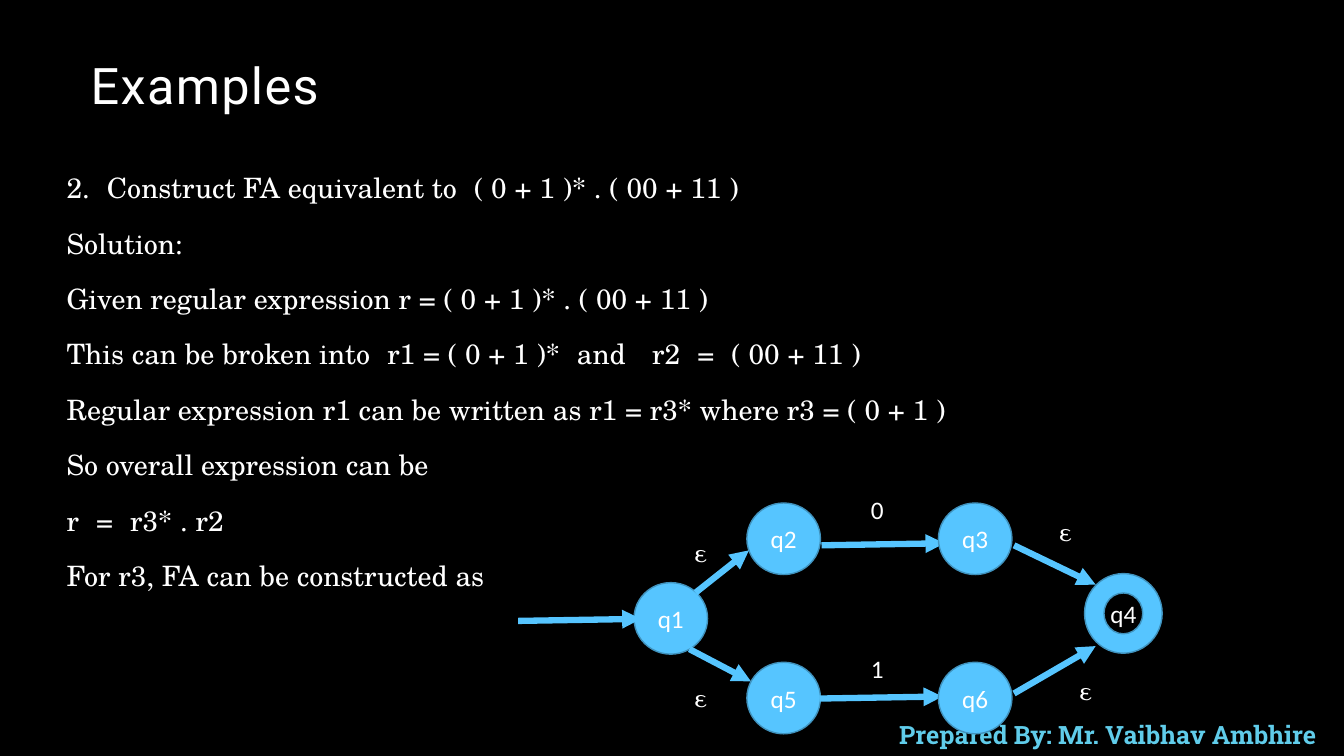
from dataclasses import dataclass

from lxml import etree
from pptx import Presentation
from pptx import util as u
from pptx.dml.color import RGBColor
from pptx.enum import shapes, text
from pptx.oxml.ns import qn

EMU_PER_PX = 9144
WIDE_SLIDE = (12192000, 6858000)
HARD_SPACE = chr(160)


@dataclass(frozen=True)
class Theme:
    background: str = "000000"
    ink: str = "FFFFFF"
    accent: str = "56C5FF"
    outline: str = "4092BD"
    credit: str = "60CCEA"
    title_font: str = "Roboto"
    body_font: str = "TeX Gyre Schola"
    label_font: str = "Calibri"
    credit_font: str = "Roboto Slab"
    title_size: int = 36
    body_size: int = 20
    label_size: int = 18


THEME = Theme()

BODY_LINES = [
    "2.~ Construct FA equivalent to~ ( 0 + 1 )* . ( 00 + 11 )",
    "Solution:",
    "Given regular expression r = ( 0 + 1 )* . ( 00 + 11 )",
    "This can be broken into~ r1 = ( 0 + 1 )*~ and~ ~r2~ =~ ( 00 + 11 )",
    "Regular expression r1 can be written as r1 = r3* where r3 = ( 0 + 1 )",
    "So overall expression can be",
    "r~ =~ r3* . r2",
    "For r3, FA can be constructed as",
]

OVAL, DONUT = shapes.MSO_SHAPE.OVAL, shapes.MSO_SHAPE.DONUT
STATE_SIZE = (73, 71)
LOWER_STATES = [
    ("q1", OVAL, (629, 578), STATE_SIZE),
    ("q4", DONUT, (1076, 569), (77, 79)),
    ("q5", OVAL, (741, 657), STATE_SIZE),
]
UPPER_STATES = [
    ("q2", OVAL, (741, 499), STATE_SIZE),
    ("q3", OVAL, (931, 499), STATE_SIZE),
    ("q6", OVAL, (931, 657), STATE_SIZE),
]
LEVEL_ARROWS = [(514, 616), (815, 541), (813, 693)]
LEVEL_RUN, LEVEL_RISE = 122, 2
SLOPED_ARROWS = [
    ((1006, 541), (1087, 580)),
    ((684, 644), (745, 676)),
    ((690, 588), (743, 546)),
    ((1006, 688), (1087, 641)),
]
LABEL_SIZE = (42, 42)
LABELS = [
    ("0", THEME.label_font, (854, 485)),
    ("1", THEME.label_font, (854, 643)),
    ("ε", THEME.body_font, (679, 528)),
    ("ε", THEME.body_font, (679, 672)),
    ("ε", THEME.body_font, (1041, 507)),
    ("ε", THEME.body_font, (1061, 665)),
]


def px(*values):
    return [u.Emu(v * EMU_PER_PX) for v in values]


def rgb(color):
    return RGBColor.from_string(color)


def add_run(p, words, font, size, color=THEME.ink, bold=False):
    r = p.add_run()
    r.text = words
    r.font.name = font
    r.font.size = u.Pt(size)
    r.font.bold = bold
    r.font.color.rgb = rgb(color)
    return r


def place(sp, at, size):
    sp.left, sp.top, sp.width, sp.height = px(*at, *size)
    sp.text_frame.auto_size = text.MSO_AUTO_SIZE.NONE


def fill_title(sp, words):
    place(sp, (80, 41), (1044, 79))
    sp.text_frame.vertical_anchor = text.MSO_ANCHOR.BOTTOM
    p = sp.text_frame.paragraphs[0]
    p.alignment = text.PP_ALIGN.LEFT
    p.line_spacing = 0.9
    r = add_run(p, words, THEME.title_font, THEME.title_size)
    r.font._element.set("spc", "100")


def fill_body(sp, lines):
    place(sp, (56, 168), (912, 552))
    tf = sp.text_frame
    for i, words in enumerate(lines):
        p = tf.add_paragraph() if i else tf.paragraphs[0]
        p.line_spacing = 0.9
        p.space_before = u.Pt(18)
        pPr = p._p.get_or_add_pPr()
        pPr.set("marL", "0")
        pPr.set("indent", "0")
        etree.SubElement(pPr, qn("a:buNone"))
        add_run(p, words.replace("~", HARD_SPACE), THEME.body_font, THEME.body_size)


def add_text(s, words, font, at, size, color=THEME.ink, bold=False, align=text.PP_ALIGN.LEFT):
    sp = s.shapes.add_textbox(*px(*at, *size))
    sp.text_frame.word_wrap = True
    p = sp.text_frame.paragraphs[0]
    p.alignment = align
    add_run(p, words, font, THEME.label_size, color, bold)


def add_state(s, label, kind, at, size):
    sp = s.shapes.add_shape(kind, *px(*at, *size))
    sp.shadow.inherit = False
    sp.fill.solid()
    sp.fill.fore_color.rgb = rgb(THEME.accent)
    sp.line.color.rgb = rgb(THEME.outline)
    sp.line.width = u.Pt(1)
    tf = sp.text_frame
    tf.margin_left = tf.margin_right = 0
    tf.vertical_anchor = text.MSO_ANCHOR.MIDDLE
    p = tf.paragraphs[0]
    p.alignment = text.PP_ALIGN.CENTER
    add_run(p, label, THEME.label_font, THEME.label_size)


def add_arrow(s, start, end):
    line = s.shapes.add_connector(shapes.MSO_CONNECTOR.STRAIGHT, *px(*start, *end))
    line.line.color.rgb = rgb(THEME.accent)
    line.line.width = u.Pt(4.5)
    etree.SubElement(line.line._get_or_add_ln(), qn("a:tailEnd"), type="triangle")
    etree.SubElement(line._element.spPr, qn("a:effectLst"))


def main():
    prs = Presentation()
    prs.slide_width, prs.slide_height = WIDE_SLIDE
    s = prs.slides.add_slide(prs.slide_layouts[1])
    s.background.fill.solid()
    s.background.fill.fore_color.rgb = rgb(THEME.background)

    fill_title(s.shapes.title, "Examples")
    fill_body(s.placeholders[1], BODY_LINES)
    add_text(s, "Prepared By: Mr. Vaibhav Ambhire", THEME.credit_font, (868, 709), (462, 40),
             THEME.credit, True, text.PP_ALIGN.CENTER)

    for state in LOWER_STATES:
        add_state(s, *state)
    for x, y in LEVEL_ARROWS:
        add_arrow(s, (x, y), (x + LEVEL_RUN, y - LEVEL_RISE))
    for state in UPPER_STATES:
        add_state(s, *state)
    for start, end in SLOPED_ARROWS:
        add_arrow(s, start, end)
    for words, font, at in LABELS:
        add_text(s, words, font, at, LABEL_SIZE)

    prs.save("out.pptx")


if __name__ == "__main__":
    main()
